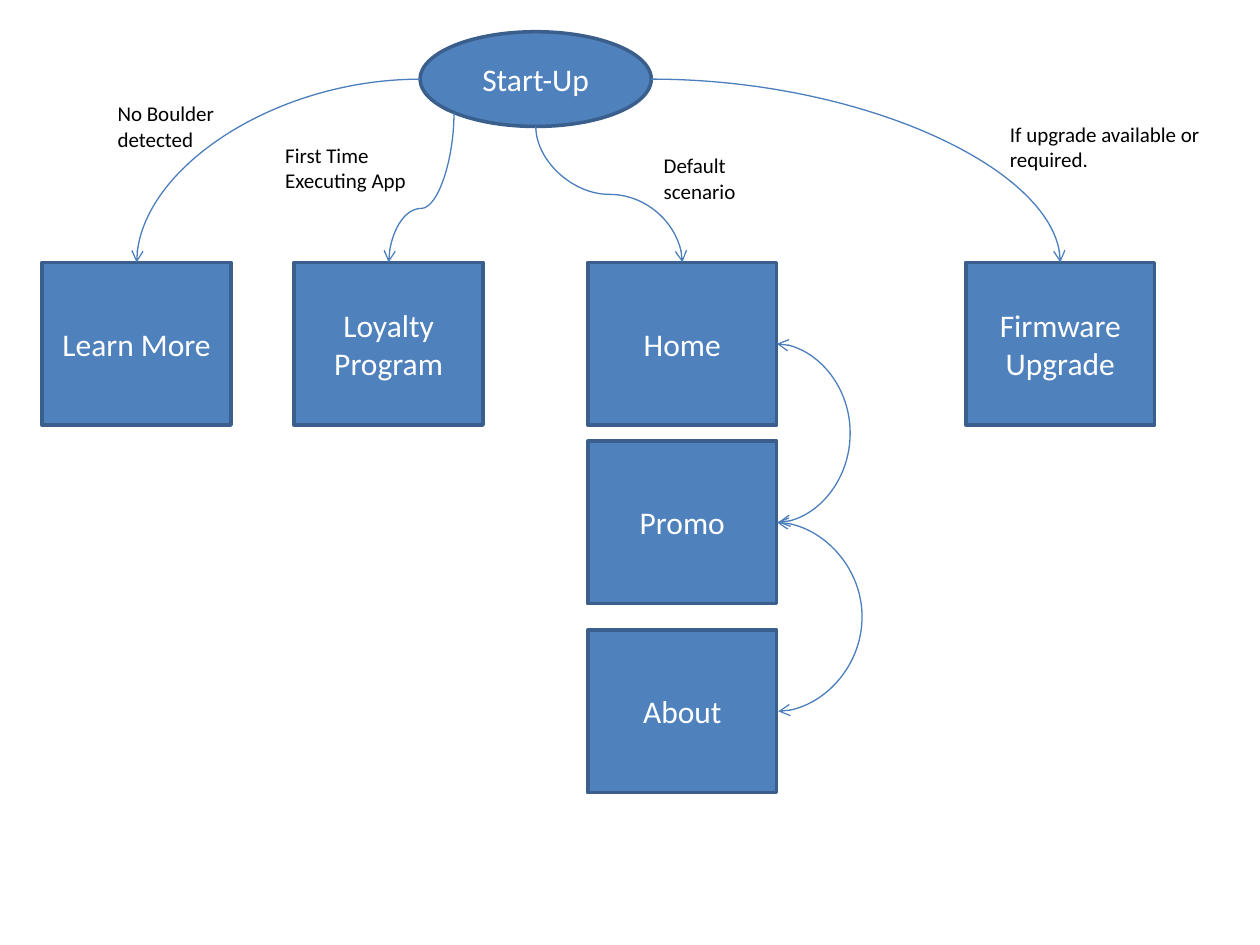
"""Build a one-slide flow of the screens reached from app start-up."""
import math
from dataclasses import dataclass

import lxml.etree
import pptx
import pptx.dml.color
import pptx.enum.shapes
import pptx.enum.text
import pptx.oxml
import pptx.oxml.ns
import pptx.shapes.connector
import pptx.slide
import pptx.text.text
import pptx.util

Cm = pptx.util.Cm
Pt = pptx.util.Pt
RGB = pptx.dml.color.RGBColor
MSO_SHAPE = pptx.enum.shapes.MSO_SHAPE
Point = tuple[float, float]


@dataclass(frozen=True)
class Theme:
    fill: RGB = RGB(0x4F, 0x81, 0xBD)
    border: RGB = RGB(0x3A, 0x5F, 0x8C)
    arrow: RGB = RGB(0x4B, 0x7E, 0xBC)
    node_text: RGB = RGB(0xFF, 0xFF, 0xFF)
    label_text: RGB = RGB(0, 0, 0)
    font: str = "Calibri"
    node_size: float = 18
    label_size: float = 12
    border_width: float = 2
    arrow_width: float = 0.75


@dataclass(frozen=True)
class Node:
    text: str
    x: float
    y: float
    w: float = 3.81
    h: float = 3.28
    kind: MSO_SHAPE = MSO_SHAPE.RECTANGLE

    def at(self, fx: float, fy: float) -> Point:
        return self.x + fx * self.w, self.y + fy * self.h


@dataclass(frozen=True)
class Label:
    text: str
    x: float
    y: float
    w: float
    h: float = 1.27


THEME = Theme()
SCREEN_TOP = 5.29
HOME_LEFT = 11.85
LOOP_DEPTH = 0.03

START = Node("Start-Up", 8.47, 0.64, 4.66, 1.91, MSO_SHAPE.OVAL)
LEARN = Node("Learn More", 0.85, SCREEN_TOP)
LOYALTY = Node("Loyalty Program", 5.93, SCREEN_TOP)
HOME = Node("Home", HOME_LEFT, SCREEN_TOP)
PROMO = Node("Promo", HOME_LEFT, 8.89)
ABOUT = Node("About", HOME_LEFT, 12.7)
FIRMWARE = Node("Firmware Upgrade", 19.47, SCREEN_TOP)
NODES = (HOME, PROMO, ABOUT, LOYALTY, LEARN, START, FIRMWARE)

LABELS = (
    Label("If upgrade available or required.", 20.11, 2.33, 4.66),
    Label("No Boulder detected", 2.12, 1.91, 2.96),
    Label("First Time Executing App", 5.5, 2.75, 2.96),
    Label("Default scenario", 13.13, 2.96, 3.18),
)


def style_text(tf: pptx.text.text.TextFrame, text: str, size: float, color: RGB) -> None:
    tf.text = text
    tf.word_wrap = True
    font = tf.paragraphs[0].runs[0].font
    font.name, font.size, font.color.rgb = THEME.font, Pt(size), color


def draw_node(s: pptx.slide.Slide, node: Node) -> None:
    sp = s.shapes.add_shape(node.kind, Cm(node.x), Cm(node.y), Cm(node.w), Cm(node.h))
    sp.shadow.inherit = False
    sp.fill.solid()
    sp.fill.fore_color.rgb = THEME.fill
    sp.line.color.rgb = THEME.border
    sp.line.width = Pt(THEME.border_width)
    style_text(sp.text_frame, node.text, THEME.node_size, THEME.node_text)
    sp.text_frame.vertical_anchor = pptx.enum.text.MSO_ANCHOR.MIDDLE
    sp.text_frame.paragraphs[0].alignment = pptx.enum.text.PP_ALIGN.CENTER


def draw_label(s: pptx.slide.Slide, label: Label) -> None:
    sp = s.shapes.add_textbox(Cm(label.x), Cm(label.y), Cm(label.w), Cm(label.h))
    style_text(sp.text_frame, label.text, THEME.label_size, THEME.label_text)


def draw_curve(s: pptx.slide.Slide, center: Point, w: float, h: float, preset: str,
               rotation: int = 0, flip: str = "", bend: float | None = None,
               ends: tuple[str, ...] = ("tailEnd",)) -> None:
    qn = pptx.oxml.ns.qn
    x, y = center[0] - w / 2, center[1] - h / 2
    cxn = s.shapes.add_connector(pptx.enum.shapes.MSO_CONNECTOR.CURVE,
                                 Cm(x), Cm(y), Cm(x + w), Cm(y + h))
    cxn.line.color.rgb = THEME.arrow
    cxn.line.width = Pt(THEME.arrow_width)
    sp_pr = cxn._element.spPr
    xfrm = sp_pr.find(qn("a:xfrm"))
    if rotation:
        xfrm.set("rot", str(rotation * 60000))
    if flip:
        xfrm.set(flip, "1")
    geom = sp_pr.find(qn("a:prstGeom"))
    geom.set("prst", preset)
    if bend is not None:
        guides = geom.find(qn("a:avLst"))
        if guides is None:
            guides = lxml.etree.SubElement(geom, qn("a:avLst"))
        lxml.etree.SubElement(guides, qn("a:gd"), name="adj1",
                              fmla=f"val {round(bend * 100000)}")
    ln = sp_pr.find(qn("a:ln"))
    for end in ends:
        lxml.etree.SubElement(ln, qn(f"a:{end}"), type="arrow")
    lxml.etree.SubElement(sp_pr, qn("a:effectLst"))


def middle(a: Point, b: Point) -> Point:
    return (a[0] + b[0]) / 2, (a[1] + b[1]) / 2


def draw_arc(s: pptx.slide.Slide, a: Point, b: Point) -> None:
    rotation, flip = (180, "flipV") if b[0] < a[0] else (0, "")
    draw_curve(s, middle(a, b), abs(b[0] - a[0]), b[1] - a[1],
               "curvedConnector2", rotation, flip)


def draw_drop(s: pptx.slide.Slide, a: Point, b: Point, bend: float) -> None:
    rotation, flip = (90, "") if b[0] < a[0] else (270, "flipH")
    draw_curve(s, middle(a, b), b[1] - a[1], abs(b[0] - a[0]),
               "curvedConnector3", rotation, flip, bend)


def draw_loop(s: pptx.slide.Slide, upper: Node, lower: Node, bulge: float) -> None:
    a, b = upper.at(1, 0.5), lower.at(1, 0.5)
    draw_curve(s, middle(a, (b[0] + LOOP_DEPTH, b[1])), LOOP_DEPTH, b[1] - a[1],
               "curvedConnector3", bend=bulge / LOOP_DEPTH, ends=("headEnd", "tailEnd"))


def main() -> None:
    prs = pptx.Presentation()
    prs.slide_width, prs.slide_height = Cm(25.4), Cm(19.05)
    s = prs.slides.add_slide(prs.slide_layouts[6])
    for node in NODES:
        draw_node(s, node)
    diagonal = (1 - math.sqrt(0.5)) / 2
    draw_drop(s, START.at(0.5, 1), HOME.at(0.5, 0), 0.5)
    draw_drop(s, START.at(diagonal, 1 - diagonal), LOYALTY.at(0.5, 0), 0.64)
    draw_arc(s, START.at(1, 0.5), FIRMWARE.at(0.5, 0))
    draw_arc(s, START.at(0, 0.5), LEARN.at(0.5, 0))
    draw_loop(s, HOME, PROMO, 1.48)
    draw_loop(s, PROMO, ABOUT, 1.72)
    for label in LABELS:
        draw_label(s, label)
    prs.save("out.pptx")


if __name__ == "__main__":
    main()
